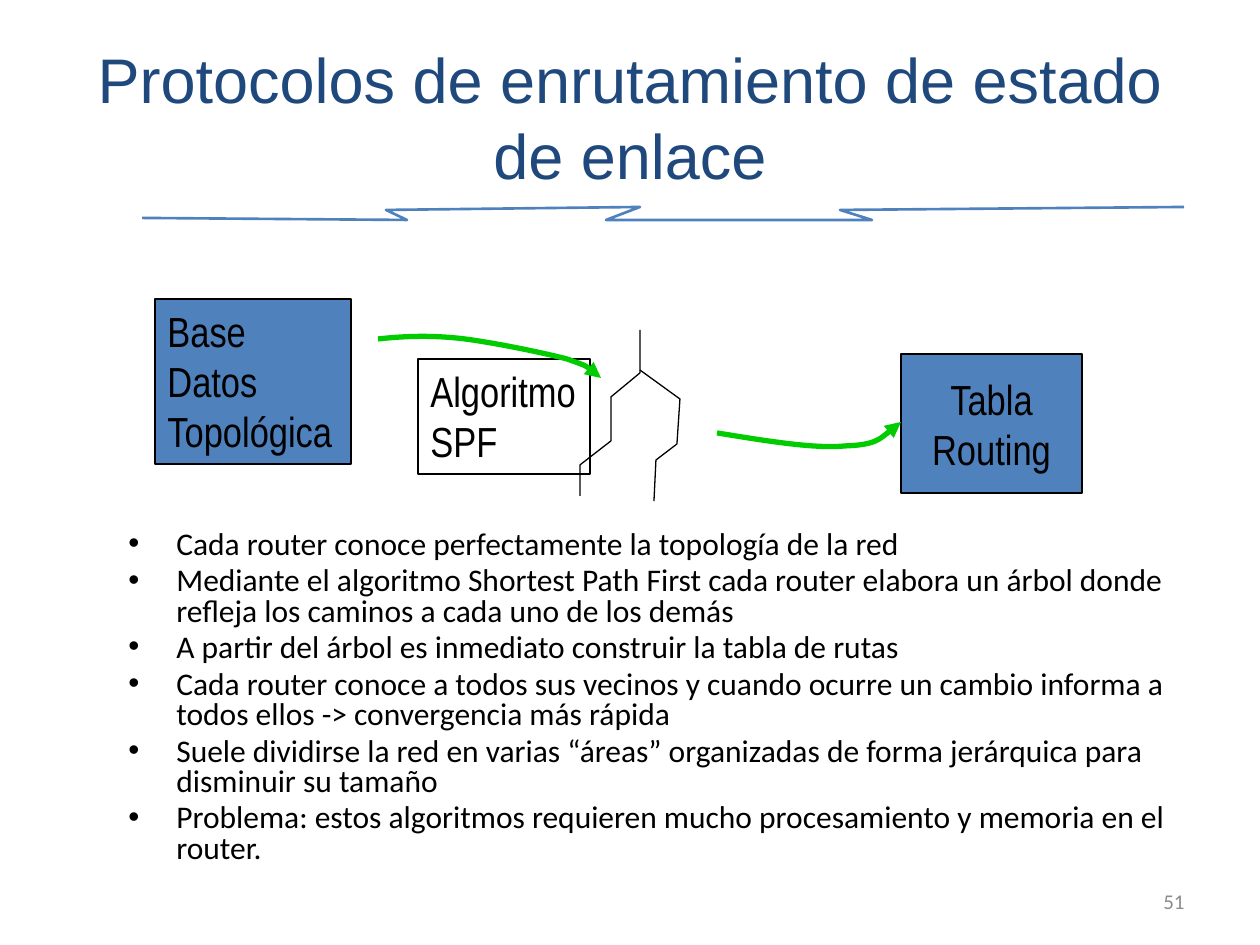
from dataclasses import dataclass
from typing import Optional

import pptx
import pptx.util
from lxml import etree
from pptx.dml.color import RGBColor
from pptx.enum.shapes import MSO_SHAPE
from pptx.enum.text import MSO_ANCHOR, PP_ALIGN
from pptx.oxml.ns import qn

SCALE = 914400 / 126  # EMU per px


@dataclass(frozen=True)
class Theme:
    title: str = "1F497D"
    blue: str = "4F81BD"
    green: str = "00CC00"
    black: str = "000000"
    grey: str = "8C8C8C"
    title_size: int = 36
    box_size: int = 24
    body_size: int = 18
    number_size: int = 12
    title_font: str = "Arial"
    box_font: str = "Arial Narrow"
    body_font: str = "Calibri"


T = Theme()


@dataclass(frozen=True)
class Box:
    rect: tuple[int, int, int, int]
    lines: tuple[str, ...]
    fill: Optional[str] = None
    align: PP_ALIGN = PP_ALIGN.LEFT
    anchor: MSO_ANCHOR = MSO_ANCHOR.TOP


@dataclass(frozen=True)
class Stroke:
    points: tuple[tuple[int, int], ...]
    color: str = T.black
    width: float = 0.75
    curved_arrow: bool = False


def px(n: int) -> int:
    return round(n * SCALE)


def rgb(color: str) -> RGBColor:
    return RGBColor.from_string(color)


def add_run(p, text: str, font: str, size: int, color: str) -> None:
    r = p.add_run()
    r.text = text
    r.font.name = font
    r.font.size = pptx.util.Pt(size)
    r.font.color.rgb = rgb(color)


def next_paragraph(tf, index: int):
    return tf.add_paragraph() if index else tf.paragraphs[0]


def add_text_box(s, rect: tuple[int, int, int, int]):
    tf = s.shapes.add_textbox(*map(px, rect)).text_frame
    tf.word_wrap = True
    return tf


def add_bullet(p) -> None:
    pPr = p._p.get_or_add_pPr()
    pPr.set("marL", str(px(48)))
    pPr.set("indent", str(-px(48)))
    etree.SubElement(pPr, qn("a:buFont")).set("typeface", "Arial")
    etree.SubElement(pPr, qn("a:buChar")).set("char", "•")


def draw_box(s, box: Box) -> None:
    sp = s.shapes.add_shape(MSO_SHAPE.RECTANGLE, *map(px, box.rect))
    sp.shadow.inherit = False
    if box.fill:
        sp.fill.solid()
        sp.fill.fore_color.rgb = rgb(box.fill)
    else:
        sp.fill.background()
    sp.line.color.rgb = rgb(T.black)
    sp.line.width = pptx.util.Pt(0.75)
    tf = sp.text_frame
    tf.word_wrap = False
    tf.vertical_anchor = box.anchor
    for i, line in enumerate(box.lines):
        p = next_paragraph(tf, i)
        p.alignment = box.align
        add_run(p, line, T.box_font, T.box_size, T.black)


def make_curved(sp) -> None:
    """Turn each three line segments into one cubic Bézier segment."""
    segments = sp._element.findall(".//" + qn("a:lnTo"))
    for first in range(0, len(segments), 3):
        curve = etree.Element(qn("a:cubicBezTo"))
        segments[first].addprevious(curve)
        for segment in segments[first:first + 3]:
            curve.append(segment[0])
            segment.getparent().remove(segment)


def draw_stroke(s, stroke: Stroke) -> None:
    start, *rest = stroke.points
    builder = s.shapes.build_freeform(*start, scale=SCALE)
    builder.add_line_segments(rest, close=False)
    sp = builder.convert_to_shape()
    sp.shadow.inherit = False
    sp.fill.background()
    sp.line.color.rgb = rgb(stroke.color)
    sp.line.width = pptx.util.Pt(stroke.width)
    if stroke.curved_arrow:
        make_curved(sp)
        ln = sp.line._get_or_add_ln()
        etree.SubElement(ln, qn("a:tailEnd")).set("type", "triangle")


RULE = Stroke(((142, 218), (407, 220), (386, 210), (640, 207), (606, 220),
               (872, 220), (840, 210), (1184, 207)), T.blue, 1.5)
TREE = (
    Stroke(((640, 330), (640, 373), (611, 397), (611, 441), (580, 465), (580, 496))),
    Stroke(((640, 370), (680, 399), (677, 444), (656, 460), (654, 501))),
)
ARROWS = (
    Stroke(((378, 339), (405, 336), (433, 335), (465, 339), (496, 343), (544, 353),
            (567, 359), (590, 367), (596, 372), (601, 378)), T.green, 3, True),
    Stroke(((717, 433), (766, 441), (815, 449), (845, 446), (876, 445), (888, 433),
            (901, 422)), T.green, 3, True),
)
BOXES = (
    Box((155, 299, 196, 165), ("Base", "Datos", "Topológica"), T.blue),
    Box((418, 359, 172, 115), ("Algoritmo", "SPF")),
    Box((901, 354, 181, 139), ("Tabla", "Routing"), T.blue,
        PP_ALIGN.CENTER, MSO_ANCHOR.MIDDLE),
)
BULLETS = (
    "Cada router conoce perfectamente la topología de la red",
    "Mediante el algoritmo Shortest Path First cada router elabora un árbol donde "
    "refleja los caminos a cada uno de los demás",
    "A partir del árbol es inmediato construir la tabla de rutas",
    "Cada router conoce a todos sus vecinos y cuando ocurre un cambio informa a "
    "todos ellos -> convergencia más rápida",
    "Suele dividirse la red en varias “áreas” organizadas de forma jerárquica para "
    "disminuir su tamaño",
    "Problema: estos algoritmos requieren mucho procesamiento y memoria en el router.",
)


def main() -> None:
    prs = pptx.Presentation()
    prs.slide_width, prs.slide_height = px(1260), px(945)
    s = prs.slides.add_slide(prs.slide_layouts[5])

    # Title and the jagged rule below it
    title = s.shapes.title
    title.left, title.top, title.width, title.height = map(px, (63, 38, 1134, 157))
    tf = title.text_frame
    tf.vertical_anchor = MSO_ANCHOR.MIDDLE
    p = tf.paragraphs[0]
    p.alignment = PP_ALIGN.CENTER
    add_run(p, "Protocolos de enrutamiento de estado de enlace",
            T.title_font, T.title_size, T.title)
    draw_stroke(s, RULE)

    # Diagram: database, SPF tree, routing table
    for stroke in TREE:
        draw_stroke(s, stroke)
    for box in BOXES:
        draw_box(s, box)
    for arrow in ARROWS:
        draw_stroke(s, arrow)

    # Bullet list
    tf = add_text_box(s, (116, 525, 1084, 373))
    for i, text in enumerate(BULLETS):
        p = next_paragraph(tf, i)
        add_bullet(p)
        p.line_spacing = 0.8
        if i:
            p.space_before = pptx.util.Pt(3.6)
        add_run(p, text, T.body_font, T.body_size, T.black)

    # Slide number
    tf = add_text_box(s, (903, 876, 294, 50))
    tf.vertical_anchor = MSO_ANCHOR.MIDDLE
    p = tf.paragraphs[0]
    p.alignment = PP_ALIGN.RIGHT
    add_run(p, "51", T.body_font, T.number_size, T.grey)

    prs.save("out.pptx")


if __name__ == "__main__":
    main()
